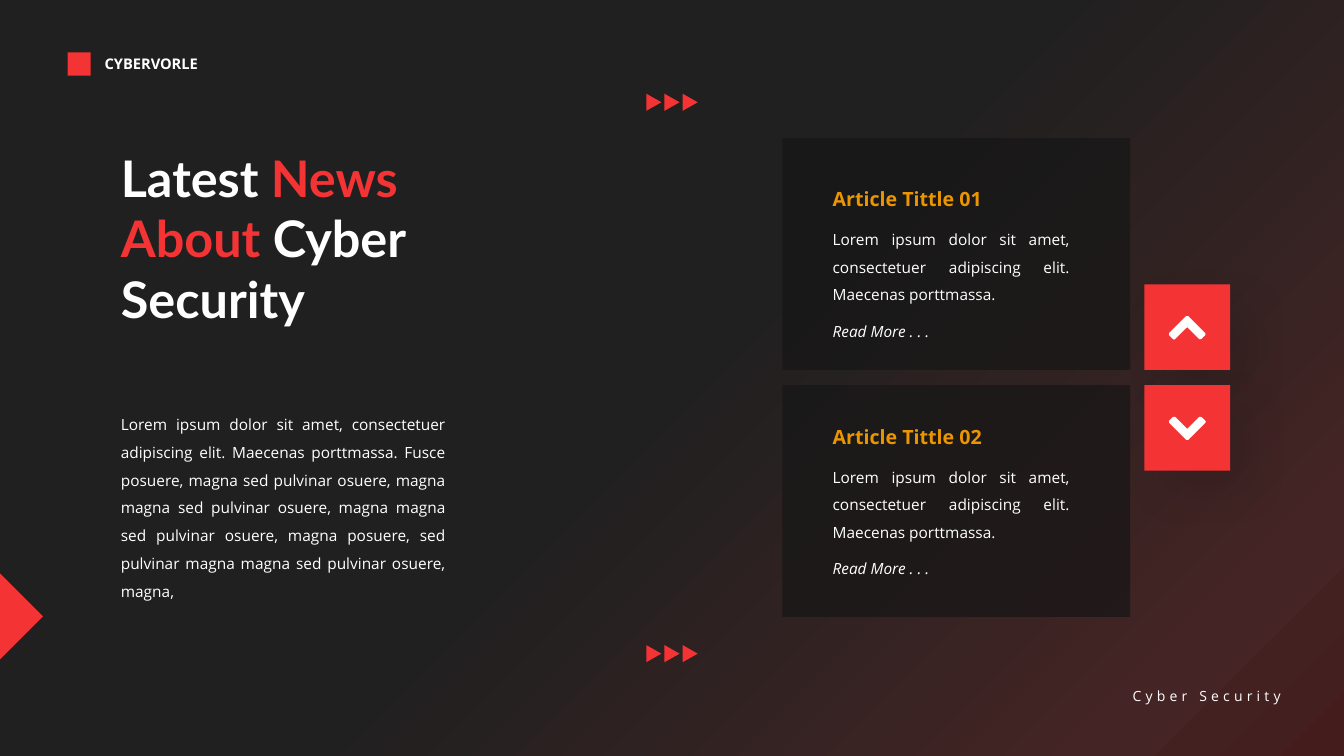
from lxml.etree import SubElement
from pptx import Presentation
from pptx.dml.color import RGBColor
from pptx.enum.shapes import MSO_SHAPE
from pptx.enum.text import MSO_AUTO_SIZE, PP_ALIGN
from pptx.oxml.ns import qn
from pptx.util import Inches, Pt

# Colours
RED = RGBColor(0xF4, 0x33, 0x34)
WHITE = RGBColor(0xFF, 0xFF, 0xFF)
AMBER = RGBColor(0xEB, 0x95, 0x00)
CARD = RGBColor(0x16, 0x16, 0x16)
BLACK = RGBColor(0x00, 0x00, 0x00)
GRADIENT = [
    (0, RGBColor(0x20, 0x20, 0x20)),
    (50, RGBColor(0x20, 0x20, 0x20)),
    (88, RGBColor(0x44, 0x24, 0x24)),
    (100, RGBColor(0x44, 0x1C, 0x1C)),
]

# Content
BRAND = "CYBERVORLE"
FOOTER = "Cyber Security"
HEADING = [("Latest ", WHITE), ("News About ", RED), ("Cyber Security", WHITE)]
INTRO = (
    "Lorem ipsum dolor sit amet, consectetuer adipiscing elit. Maecenas porttmassa. "
    "Fusce posuere, magna sed pulvinar osuere, magna magna sed pulvinar osuere, "
    "magna magna sed pulvinar osuere, magna posuere, sed pulvinar magna magna sed "
    "pulvinar osuere, magna,"
)
ARTICLE_TEXT = "Lorem ipsum dolor sit amet, consectetuer adipiscing elit. Maecenas porttmassa."
READ_MORE = "Read More . . ."
ARTICLES = [
    ("Article Tittle 01", ARTICLE_TEXT, READ_MORE),
    ("Article Tittle 02", ARTICLE_TEXT, READ_MORE),
]

# Layout, in inches
CARD_LEFT, CARD_TOP, CARD_W, CARD_H, CARD_STEP = 7.76, 1.37, 3.45, 2.3, 2.45
TEXT_LEFT, TEXT_TOP, TEXT_STEP = 8.16, 1.69, 2.36
BODY_DROP, MORE_DROP = 0.45, 1.36
BUTTON_LEFT, BUTTON_SIZE = 11.35, 0.85
BUTTONS = [(2.82, 3.13, 1), (3.82, 4.37, -1)]  # button top, arrow tip, direction
CHEVRON = [(0, 0.015), (0.17, 0.185), (0.13, 0.225),
           (0, 0.095), (-0.13, 0.225), (-0.17, 0.185)]
MARK_LEFT, MARK_STEP, MARK_TOPS = 6.4, 0.18, (0.94, 6.41)

prs = Presentation()
prs.slide_width, prs.slide_height = Inches(13.33), Inches(7.5)
s = prs.slides.add_slide(prs.slide_layouts[6])


def add_color(parent, color, alpha=None):
    clr = SubElement(parent, qn("a:srgbClr"), val=str(color))
    if alpha is not None:
        SubElement(clr, qn("a:alpha"), val=str(alpha * 1000))


def add_shape(kind, left, top, width, height, color, rotation=0):
    sp = s.shapes.add_shape(kind, Inches(left), Inches(top), Inches(width), Inches(height))
    sp.shadow.inherit = False
    sp.fill.solid()
    sp.fill.fore_color.rgb = color
    sp.line.fill.background()
    sp.rotation = rotation
    return sp


def add_text(runs, left, top, width, height, size, font="Open Sans", bold=False,
             italic=False, align=PP_ALIGN.LEFT, spacing=None, wrap=True, tracking=None):
    tf = s.shapes.add_textbox(Inches(left), Inches(top), Inches(width), Inches(height)).text_frame
    tf.word_wrap = wrap
    tf.auto_size = MSO_AUTO_SIZE.SHAPE_TO_FIT_TEXT
    p = tf.paragraphs[0]
    p.alignment = align
    p.line_spacing = spacing
    for text, color in runs:
        r = p.add_run()
        r.text = text
        r.font.name, r.font.size = font, Pt(size)
        r.font.bold, r.font.italic = bold, italic
        r.font.color.rgb = color
        if tracking:
            r.font._element.set("spc", str(tracking * 100))


# Background gradient
s.background.fill.gradient()
bg = s.element.find(".//" + qn("p:bg"))
stops = bg.find(".//" + qn("a:gsLst"))
for stop in list(stops):
    stops.remove(stop)
for position, color in GRADIENT:
    add_color(SubElement(stops, qn("a:gs"), pos=str(position * 1000)), color)
bg.find(".//" + qn("a:lin")).set("ang", str(45 * 60000))

# Header, footer and edge marker
add_text([(BRAND, WHITE)], 0.94, 0.49, 1.18, 0.28, 10.5, bold=True, wrap=False)
add_shape(MSO_SHAPE.RECTANGLE, 0.67, 0.52, 0.23, 0.23, RED)
add_text([(FOOTER, WHITE)], 11.01, 6.77, 1.79, 0.27, 10,
         align=PP_ALIGN.RIGHT, wrap=False, tracking=3)
add_shape(MSO_SHAPE.RIGHT_TRIANGLE, -0.31, 5.81, 0.61, 0.61, RED, 225)

# Heading and introduction
add_text(HEADING, 1.1, 1.41, 3.42, 1.92, 36, font="Lato", bold=True)
add_text([(INTRO, WHITE)], 1.1, 3.98, 3.42, 2.04, 11, align=PP_ALIGN.JUSTIFY, spacing=1.5)

# Article cards
for i, (title, body, more) in enumerate(ARTICLES):
    card = add_shape(MSO_SHAPE.RECTANGLE, CARD_LEFT, CARD_TOP + i * CARD_STEP,
                     CARD_W, CARD_H, CARD)
    clr = card._element.spPr.find(qn("a:solidFill")).find(qn("a:srgbClr"))
    SubElement(clr, qn("a:alpha"), val="70000")
    top = TEXT_TOP + i * TEXT_STEP
    justified = dict(align=PP_ALIGN.JUSTIFY, spacing=1.5)
    add_text([(title, AMBER)], TEXT_LEFT, top, 2.11, 0.41, 14, bold=True, **justified)
    add_text([(body, WHITE)], TEXT_LEFT, top + BODY_DROP, 2.55, 0.93, 11, **justified)
    add_text([(more, WHITE)], TEXT_LEFT, top + MORE_DROP, 2.55, 0.35, 11, italic=True, **justified)

# Scroll buttons with soft shadows and chevrons
for top, tip, direction in BUTTONS:
    button = add_shape(MSO_SHAPE.RECTANGLE, BUTTON_LEFT, top, BUTTON_SIZE, BUTTON_SIZE, RED)
    effects = button._element.spPr.find(qn("a:effectLst"))
    shadow = SubElement(effects, qn("a:outerShdw"), blurRad=str(Pt(30)), dist=str(Pt(20)),
                        dir=str(45 * 60000), algn="tl", rotWithShape="0")
    add_color(shadow, BLACK, 10)
    center = BUTTON_LEFT + BUTTON_SIZE / 2
    points = [(Inches(center + x), Inches(tip + direction * y)) for x, y in CHEVRON]
    builder = s.shapes.build_freeform(*points[0])
    builder.add_line_segments(points[1:], close=True)
    chevron = builder.convert_to_shape()
    chevron.shadow.inherit = False
    chevron.fill.solid()
    chevron.fill.fore_color.rgb = WHITE
    chevron.line.color.rgb = WHITE
    chevron.line.width = Pt(2)
    SubElement(chevron.line._get_or_add_ln(), qn("a:round"))

# Triple arrow marks
for top in MARK_TOPS:
    for i in range(3):
        add_shape(MSO_SHAPE.ISOSCELES_TRIANGLE, MARK_LEFT + i * MARK_STEP, top,
                  0.17, 0.15, RED, 90)

prs.save("out.pptx")
